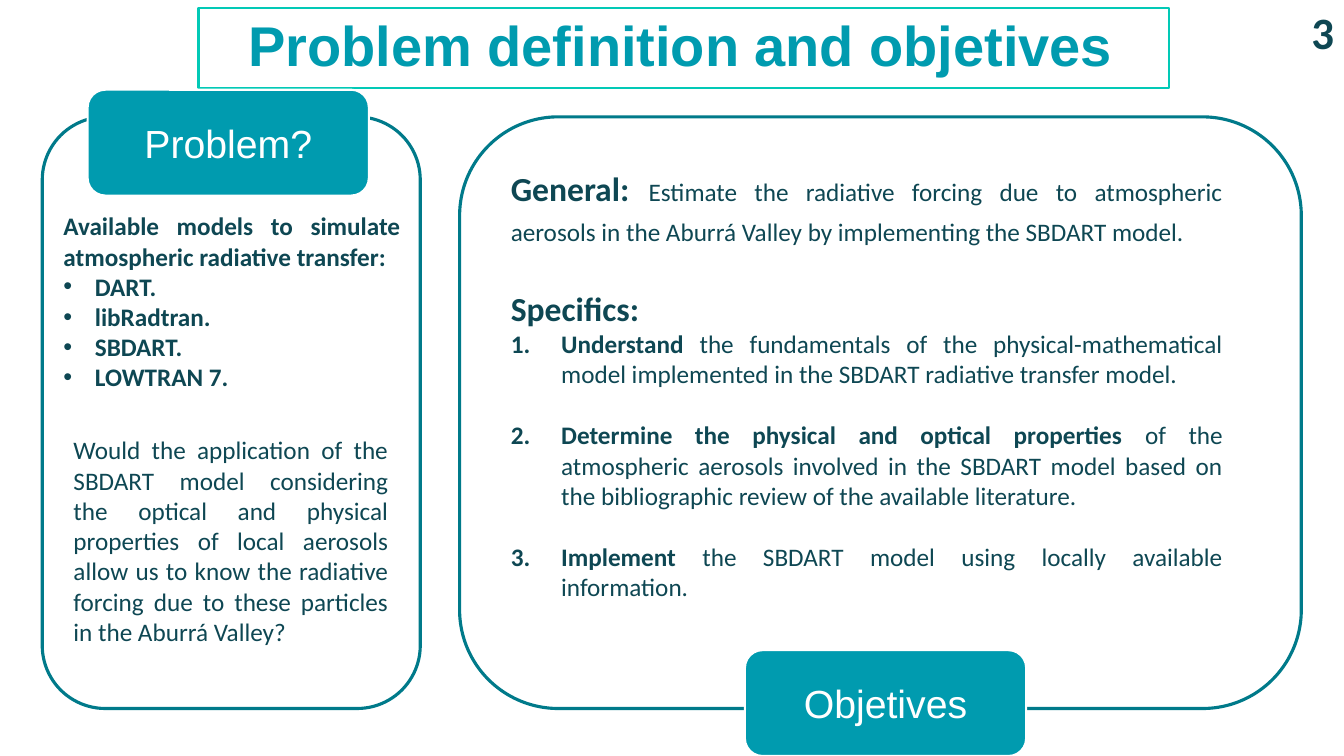
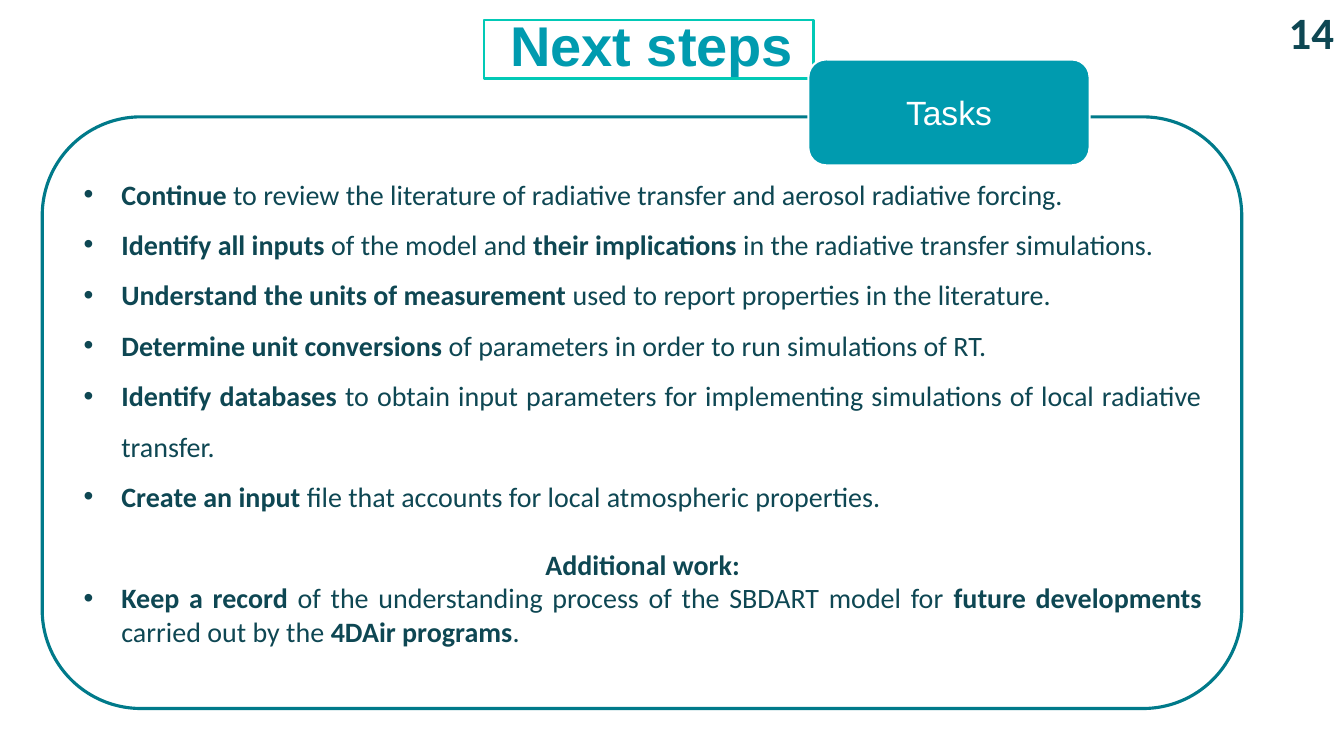
from lxml.etree import SubElement
from pptx import Presentation
from pptx.dml.color import RGBColor
from pptx.enum.shapes import MSO_SHAPE as Shape
from pptx.enum.text import MSO_ANCHOR as Anchor, MSO_AUTO_SIZE as AutoSize, PP_ALIGN as Align
from pptx.oxml.ns import qn
from pptx.util import Pt

COLORS = {
    "teal": "009BAF",
    "mint": "02C9B6",
    "outline": "007A8A",
    "ink": "0E4753",
    "white": "FFFFFF",
}
HEAD_FONT, BODY_FONT = "Arial", "Calibri"
PAGE_WIDTH, PAGE_HEIGHT = 960, 540
PANEL_TOP, PANEL_HEIGHT = 83.5, 422.6
TAB_WIDTH, TAB_HEIGHT = 200.9, 75.6


def color(name):
    return RGBColor.from_string(COLORS[name])


def add_span(para, text, size, bold=False, name="ink", font=BODY_FONT):
    span = para.add_run()
    span.text = text
    span.font.size = Pt(size)
    span.font.bold = bold
    span.font.name = font
    span.font.color.rgb = color(name)


def add_box(page, kind, box, line, weight, fill=None):
    shape = page.shapes.add_shape(kind, *map(Pt, box))
    shape.shadow.inherit = False
    if fill:
        shape.fill.solid()
        shape.fill.fore_color.rgb = color(fill)
    else:
        shape.fill.background()
    shape.line.color.rgb = color(line)
    shape.line.width = Pt(weight)
    return shape


def set_marker(para, marker, indent):
    """Hang the paragraph behind a bullet character or, for "1.", a number."""
    props = para._p.get_or_add_pPr()
    props.set("marL", str(Pt(indent)))
    props.set("indent", str(-Pt(indent)))
    SubElement(props, qn("a:buFont")).set("typeface", HEAD_FONT if marker == "•" else "+mj-lt")
    if marker == "•":
        SubElement(props, qn("a:buChar")).set("char", marker)
    else:
        SubElement(props, qn("a:buAutoNum")).set("type", "arabicPeriod")


def add_text(page, box, paras):
    """Each paragraph is (spans, options); each span is (text, size, bold)."""
    frame = page.shapes.add_textbox(*map(Pt, box)).text_frame
    frame.word_wrap = True
    for index, (spans, options) in enumerate(paras):
        para = frame.add_paragraph() if index else frame.paragraphs[0]
        if "marker" in options:
            set_marker(para, options["marker"], options["indent"])
        para.alignment = options.get("align", Align.JUSTIFY)
        para.line_spacing = options.get("spacing")
        if "before" in options:
            para.space_before = Pt(options["before"])
        for span in spans:
            add_span(para, *span)


def add_page(deck, title, width, frame_box, number):
    """Start a page with its framed title and page number."""
    page = deck.slides.add_slide(deck.slide_layouts[5])
    holder = page.shapes.title
    holder.left, holder.top, holder.width, holder.height = map(Pt, (116, 17.3, width, 41.8))
    frame = holder.text_frame
    frame.auto_size = AutoSize.NONE
    frame.vertical_anchor = Anchor.TOP
    para = frame.paragraphs[0]
    para.alignment = Align.CENTER
    para.line_spacing = 0.7
    add_span(para, title, 40, True, "teal", HEAD_FONT)
    add_box(page, Shape.RECTANGLE, frame_box, "mint", 1.75)
    add_text(page, (PAGE_WIDTH - 60, 0, 60, 46),
             [([(number, 32, True)], {"align": Align.RIGHT})])
    return page


def add_panel(page, left, width, label, size, tab_dx, tab_dy):
    """Draw a rounded panel with a label tab offset from its corner."""
    add_box(page, Shape.ROUNDED_RECTANGLE, (left, PANEL_TOP, width, PANEL_HEIGHT), "outline", 2.25)
    tab = add_box(page, Shape.ROUNDED_RECTANGLE,
                  (left + tab_dx, PANEL_TOP + tab_dy, TAB_WIDTH, TAB_HEIGHT), "white", 1.5, "teal")
    tab.text_frame.vertical_anchor = Anchor.MIDDLE
    para = tab.text_frame.paragraphs[0]
    para.alignment = Align.CENTER
    add_span(para, label, size, False, "white", HEAD_FONT)


def add_problem(page, left, width):
    add_panel(page, left, width, "Problem?", 28, 32.4, -19.4)
    models = ["DART.", "libRadtran.", "SBDART.", "LOWTRAN 7."]
    bullet = {"marker": "•", "indent": 22.5}
    intro = ([("Available models to simulate atmospheric radiative transfer:", 18, True)], {})
    add_text(page, (left + 8, PANEL_TOP + 63.4, width - 15, 138),
             [intro] + [([(model, 18, True)], bullet) for model in models])
    question = ("Would the application of the SBDART model considering the optical and physical "
                "properties of local aerosols allow us to know the radiative forcing due to these "
                "particles in the Aburrá Valley?")
    add_text(page, (left + 15.2, PANEL_TOP + 223.5, width - 31, 160), [([(question, 18)], {})])


def add_objectives(page, left, width):
    add_panel(page, left, width, "Objetives", 28, 203.8, 380.9)
    text_left, text_width = left + 29.5, width - 78.5
    general = [
        ("General: ", 24, True),
        ("Estimate the radiative forcing due to atmospheric aerosols in the Aburrá Valley "
         "by implementing the SBDART model.", 18),
    ]
    add_text(page, (text_left, PANEL_TOP + 33.4, text_width, 65), [(general, {"spacing": Pt(28)})])
    specifics = [
        ("Understand ", "the fundamentals of the physical-mathematical model implemented "
         "in the SBDART radiative transfer model."),
        ("Determine the physical and optical properties ", "of the atmospheric aerosols involved "
         "in the SBDART model based on the bibliographic review of the available literature."),
        ("Implement ", "the SBDART model using locally available information."),
    ]
    paras = [([("Specifics:", 24, True)], {})]
    for index, (action, rest) in enumerate(specifics):
        options = {"marker": "1.", "indent": 36, "before": 22 if index else 0}
        paras.append(([(action, 18, True), (rest, 18)], options))
    add_text(page, (text_left, PANEL_TOP + 118.8, text_width, 232), paras)


def add_tasks(page, left, width):
    add_panel(page, left, width, "Tasks", 24, 547.2, -41)
    # Spans alternate between bold and regular, starting with bold.
    tasks = [
        ["Continue ", "to review the literature of radiative transfer and aerosol radiative forcing."],
        ["Identify all inputs ", "of the model and ", "their implications ",
         "in the radiative transfer simulations."],
        ["Understand the units of measurement ", "used to report properties in the literature."],
        ["Determine unit conversions ", "of parameters in order to run simulations of RT."],
        ["Identify databases", " to obtain input parameters for implementing simulations of local "
         "radiative transfer."],
        ["Create an input ", "file that accounts for local atmospheric properties."],
    ]
    extra = ["Keep a record ", "of the understanding process of the SBDART model for ",
             "future developments ", "carried out by the ", "4DAir programs", "."]

    def alternate(texts):
        return [(text, 20, index % 2 == 0) for index, text in enumerate(texts)]

    bullet = {"marker": "•", "indent": 27}
    paras = [(alternate(task), {**bullet, "spacing": 1.5}) for task in tasks]
    paras.append(([("Additional work:", 20, True)], {"align": Align.CENTER, "before": 24.4}))
    paras.append((alternate(extra), bullet))
    add_text(page, (left + 22.4, PANEL_TOP + 27.4, width - 44, 358), paras)


def main():
    deck = Presentation()
    deck.slide_width, deck.slide_height = Pt(PAGE_WIDTH), Pt(PAGE_HEIGHT)

    page = add_page(deck, "Problem definition and objetives", 740, (141.8, 5.8, 693.4, 56.9), "3")
    add_problem(page, 30.2, 270)
    add_objectives(page, 328.3, 601.2)

    page = add_page(deck, "Next steps", 699, (345.6, 14.4, 235.4, 41.8), "14")
    add_tasks(page, 30.2, 856.8)

    deck.save("out.pptx")


if __name__ == "__main__":
    main()
